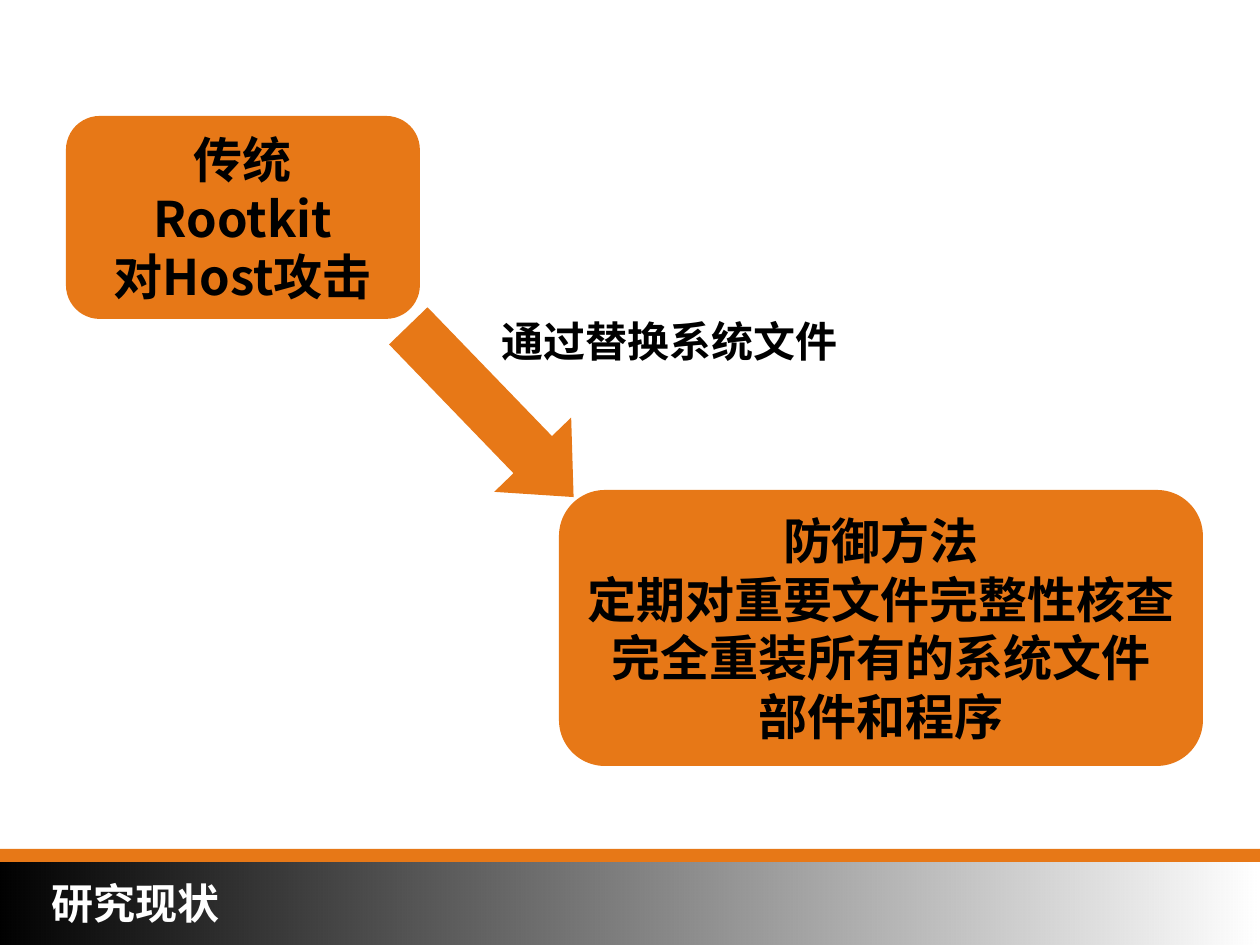
from lxml import etree
from pptx import Presentation, util as u
from pptx.dml.color import RGBColor
from pptx.enum import shapes, text
from pptx.oxml.ns import qn

PX = 914400 // 126
COLORS = {"orange": "E77817", "black": "000000", "white": "FFFFFF"}
CJK_FONT = "Noto Sans CJK SC"


def color(name):
    """Return the named palette colour."""
    return RGBColor.from_string(COLORS[name])


def px(*lengths):
    """Turn pixel lengths into EMU."""
    return [u.Emu(length * PX) for length in lengths]


def write(frame, content, size=28, font="Calibri", ink="black", align=None, wrap=True):
    """Write bold lines into a text frame, one paragraph a line."""
    frame.word_wrap = wrap
    frame.text = content
    for paragraph in frame.paragraphs:
        paragraph.alignment = align
        for run in paragraph.runs:
            run.font.name = font
            run.font.size = u.Pt(size)
            run.font.bold = True
            run.font.color.rgb = color(ink)
            east_asian = etree.SubElement(run.font._element, qn("a:ea"))
            east_asian.set("typeface", CJK_FONT)


def add_block(slide, kind, box, fill="orange"):
    """Add a borderless filled shape."""
    block = slide.shapes.add_shape(kind, *px(*box))
    block.shadow.inherit = False
    block.line.fill.background()
    block.fill.solid()
    block.fill.fore_color.rgb = color(fill)
    return block


def add_card(slide, box, content, font):
    """Add a rounded card with centred lines."""
    card = add_block(slide, shapes.MSO_SHAPE.ROUNDED_RECTANGLE, box)
    card.text_frame.vertical_anchor = text.MSO_ANCHOR.MIDDLE
    write(card.text_frame, content, font=font, align=text.PP_ALIGN.CENTER, wrap=False)


def add_label(slide, box, content, ink):
    """Add a one-line label."""
    label = slide.shapes.add_textbox(*px(*box))
    write(label.text_frame, content, size=24, ink=ink)
    label.text_frame.auto_size = text.MSO_AUTO_SIZE.SHAPE_TO_FIT_TEXT


def add_footer(slide):
    """Add the orange rule and the black band that fades out to the right."""
    add_block(slide, shapes.MSO_SHAPE.RECTANGLE, (0, 849, 1260, 13))
    band = add_block(slide, shapes.MSO_SHAPE.RECTANGLE, (0, 863, 1260, 87))
    band.fill.gradient()
    band.fill.gradient_angle = 180
    for stop in band.fill.gradient_stops:
        stop.color.rgb = color("black")
    clear_stop = next(band._element.spPr.iter(qn("a:srgbClr")))
    etree.SubElement(clear_stop, qn("a:alpha")).set("val", "0")


def add_arrow(slide, box, angle):
    """Add a rotated block arrow."""
    arrow = add_block(slide, shapes.MSO_SHAPE.RIGHT_ARROW, box)
    arrow.rotation = angle
    arrow.adjustments[1] = 0.55


def main():
    """Build and save the slide."""
    deck = Presentation()
    deck.slide_width, deck.slide_height = u.Inches(10), u.Inches(7.5)
    slide = deck.slides.add_slide(deck.slide_layouts[6])
    add_footer(slide)
    add_label(slide, (39, 871, 267, 63), "研究现状", "white")
    add_card(slide, (66, 116, 354, 203), "传统\nRootkit\n对Host攻击", CJK_FONT)
    add_card(
        slide,
        (559, 490, 644, 276),
        "防御方法\n定期对重要文件完整性核查\n完全重装所有的系统文件\n部件和程序",
        "Calibri",
    )
    add_arrow(slide, (372, 358, 238, 107), 46)
    add_label(slide, (489, 309, 512, 63), "通过替换系统文件", "black")
    deck.save("out.pptx")


if __name__ == "__main__":
    main()
